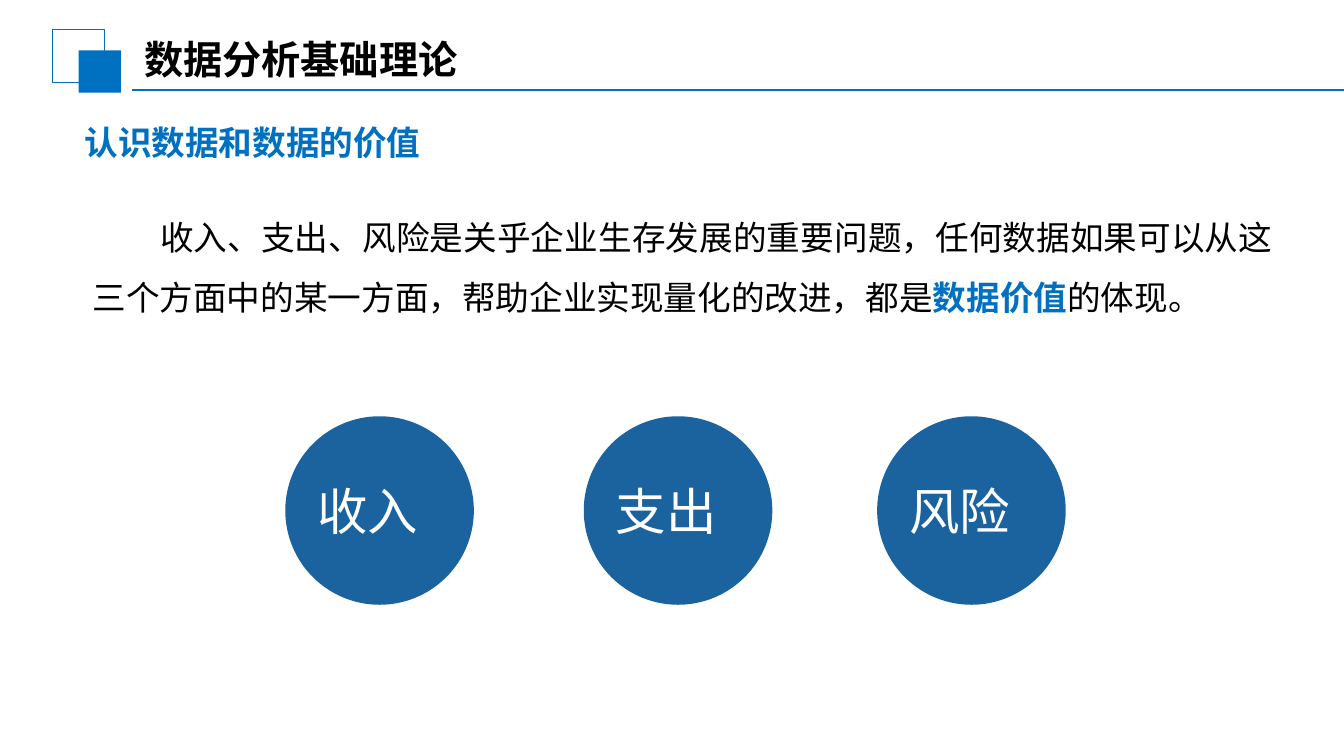
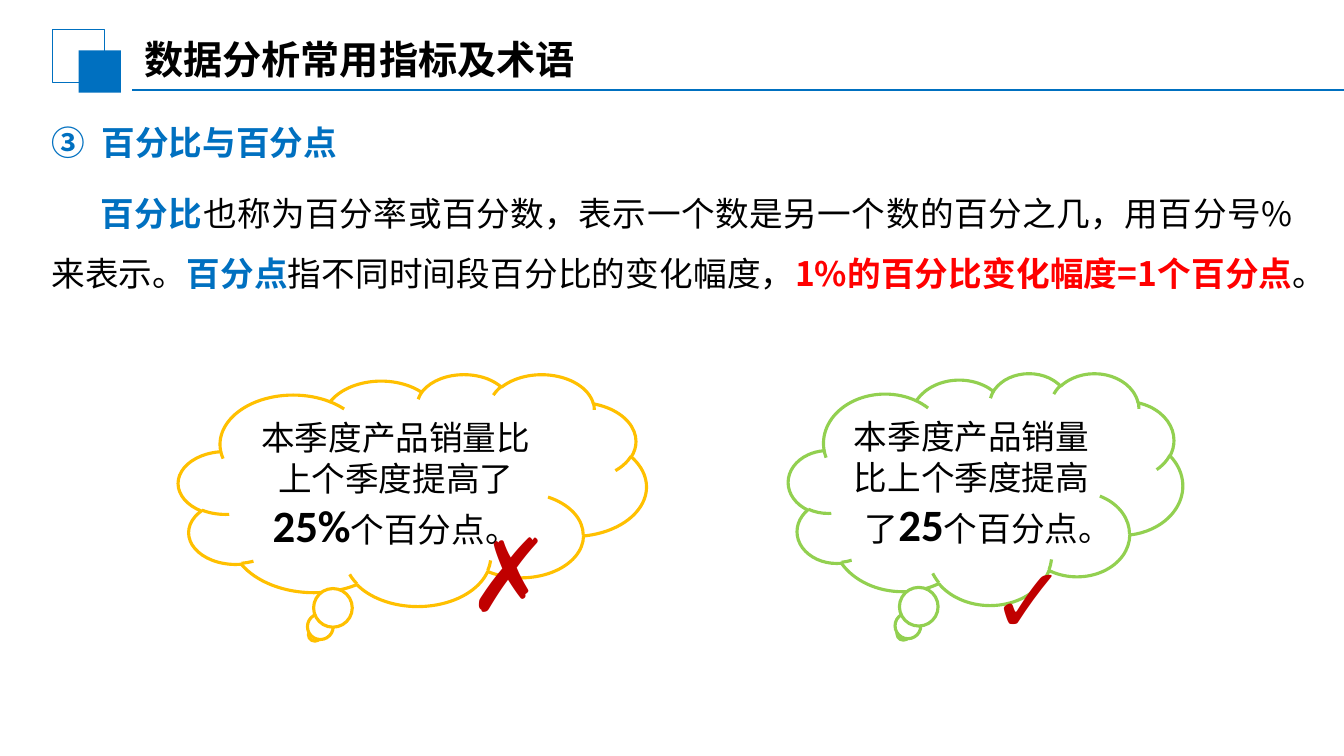
"""Build two slides on data value and on percentages versus percentage points."""
from lxml.etree import SubElement
from pptx import Presentation
from pptx.dml.color import RGBColor
from pptx.enum.shapes import MSO_CONNECTOR, MSO_SHAPE
from pptx.enum.text import MSO_ANCHOR, PP_ALIGN
from pptx.oxml.ns import qn
from pptx.util import Inches, Pt

BLUE, CIRCLE, BLACK, WHITE = "0070C0", "1B639F", "000000", "FFFFFF"
RED, DARK_RED, AMBER, GREEN = "FF0000", "C00000", "FFC000", "92D050"
CJK, LATIN = "Noto Sans CJK SC", "Calibri"


def paint(sp, fill=None, line=None, width=0.75):
    """Set fill and outline of a shape, with no shadow."""
    sp.shadow.inherit = False
    for fmt, color in ((sp.fill, fill), (sp.line.fill, line)):
        if color:
            fmt.solid()
            fmt.fore_color.rgb = RGBColor.from_string(color)
        else:
            fmt.background()
    if line:
        sp.line.width = Pt(width)


def write(tf, runs, font=CJK, align=PP_ALIGN.LEFT, spacing=None, margin=0, indent=0, number=None):
    """Fill a text frame with one paragraph of (text, size, colour, bold) runs."""
    tf.word_wrap = True
    p = tf.paragraphs[0]
    for name, value in {"alignment": align, "line_spacing": spacing}.items():
        setattr(p, name, value)
    pPr = p._p.get_or_add_pPr()
    pPr.set("marL", str(Inches(margin)))
    pPr.set("indent", str(Inches(indent)))
    if number:
        color = SubElement(SubElement(pPr, qn("a:buClr")), qn("a:srgbClr"))
        color.set("val", runs[0][2])
        SubElement(pPr, qn("a:buFont")).set("typeface", font)
        bullet = SubElement(pPr, qn("a:buAutoNum"))
        bullet.set("type", "circleNumDbPlain")
        bullet.set("startAt", str(number))
    for text, size, color, bold in runs:
        r = p.add_run()
        r.text = text
        for name, value in {"name": font, "size": Pt(size), "bold": bold}.items():
            setattr(r.font, name, value)
        r.font.color.rgb = RGBColor.from_string(color)
        SubElement(r._r.get_or_add_rPr(), qn("a:ea")).set("typeface", CJK)


prs = Presentation()
prs.slide_width, prs.slide_height = Inches(13.33), Inches(7.5)
layout = prs.slide_layouts[5]

slides = []
for title in ("数据分析基础理论", "数据分析常用指标及术语"):
    s = prs.slides.add_slide(layout)
    sp = s.shapes.title
    place = {"left": 1.3, "top": 0.29, "width": 5.29, "height": 0.58}
    for name, value in place.items():
        setattr(sp, name, Inches(value))
    tf = sp.text_frame
    insets = {"margin_left": 0.13, "margin_top": 0.07, "margin_right": 0.13, "margin_bottom": 0.07}
    for name, value in insets.items():
        setattr(tf, name, Inches(value))
    tf.vertical_anchor = MSO_ANCHOR.MIDDLE
    write(tf, [(title, 28, BLACK, True)], LATIN)
    slides.append(s)
value_slide, percent_slide = slides

shapes = value_slide.shapes
frame = shapes.add_shape(MSO_SHAPE.RECTANGLE, Inches(0.52), Inches(0.29), Inches(0.52), Inches(0.53))
paint(frame, line=BLUE)
block = shapes.add_shape(MSO_SHAPE.RECTANGLE, Inches(0.78), Inches(0.5), Inches(0.42), Inches(0.42))
paint(block, fill=BLUE)
rule = shapes.add_connector(MSO_CONNECTOR.STRAIGHT, Inches(1.31), Inches(0.89), Inches(13.33), Inches(0.89))
rule.line.width = Pt(1.25)
rule.line.color.rgb = RGBColor.from_string(BLUE)
SubElement(rule.element.spPr, qn("a:effectLst"))
for i, sp in enumerate((frame, block, rule), 20):
    sp.element.xpath(".//p:cNvPr")[0].set("id", str(i))
    layout.shapes.element.append(sp.element)

body = {"align": PP_ALIGN.JUSTIFY, "spacing": 1.5}
texts = [
    (value_slide, (0.41, 1.16, 4.06, 0.5), [("认识数据和数据的价值", 24, BLUE, True)], {"indent": 0.33}),
    (value_slide, (0.82, 1.9, 11.9, 1.31), [
        ("收入、支出、风险是关乎企业生存发展的重要问题，任何数据如果可以从这三个方面中的某一方面，"
         "帮助企业实现量化的改进，都是", 24, BLACK, False),
        ("数据价值", 24, BLUE, True),
        ("的体现。", 24, BLACK, False),
    ], {"indent": 0.67, **body}),
    (percent_slide, (0.41, 1.16, 5.73, 0.5), [("百分比与百分点", 24, BLUE, True)],
     {"margin": 0.5, "indent": -0.5, "number": 3}),
    (percent_slide, (0.41, 1.66, 12.51, 1.31), [
        ("百分比", 24, BLUE, True),
        ("也称为百分率或百分数，表示一个数是另一个数的百分之几，用百分号%来表示。", 24, BLACK, False),
        ("百分点", 24, BLUE, True),
        ("指不同时间段百分比的变化幅度，", 24, BLACK, False),
        ("1%的百分比变化幅度=1个百分点", 24, RED, True),
        ("。", 24, BLACK, False),
    ], {"indent": 0.49, **body}),
]
for s, box, runs, options in texts:
    sp = s.shapes.add_textbox(*map(Inches, box))
    write(sp.text_frame, runs, **options)

for left, label in ((2.83, "收入"), (5.79, "支出"), (8.7, "风险")):
    group = value_slide.shapes.add_group_shape()
    sp = group.shapes.add_shape(MSO_SHAPE.OVAL, Inches(left), Inches(4.13), Inches(1.87), Inches(1.87))
    paint(sp, fill=CIRCLE)
    sp = group.shapes.add_textbox(Inches(left + 0.22), Inches(4.71), Inches(1.45), Inches(0.71))
    write(sp.text_frame, [(label, 36, WHITE, False)], align=PP_ALIGN.JUSTIFY)

clouds = [((1.77, 3.71, 4.64, 2.3), AMBER, "25%"), ((7.82, 3.7, 3.91, 2.3), GREEN, "25")]
for box, color, figure in clouds:
    sp = percent_slide.shapes.add_shape(MSO_SHAPE.CLOUD_CALLOUT, *map(Inches, box))
    paint(sp, WHITE, color, 2.25)
    sp.text_frame.vertical_anchor = MSO_ANCHOR.MIDDLE
    write(sp.text_frame, [
        ("本季度产品销量比上个季度提高了", 24, BLACK, False),
        (figure, 32, BLACK, True),
        ("个百分点。", 24, BLACK, False),
    ], LATIN, PP_ALIGN.CENTER)

marks = [((4.54, 5.02, 1.07, 0.9), "✗", 72), ((9.73, 5.32, 0.99, 0.89), "✓", 66)]
for box, mark, size in marks:
    sp = percent_slide.shapes.add_textbox(*map(Inches, box))
    write(sp.text_frame, [(mark, size, DARK_RED, False)], LATIN, PP_ALIGN.JUSTIFY)

prs.save("out.pptx")
